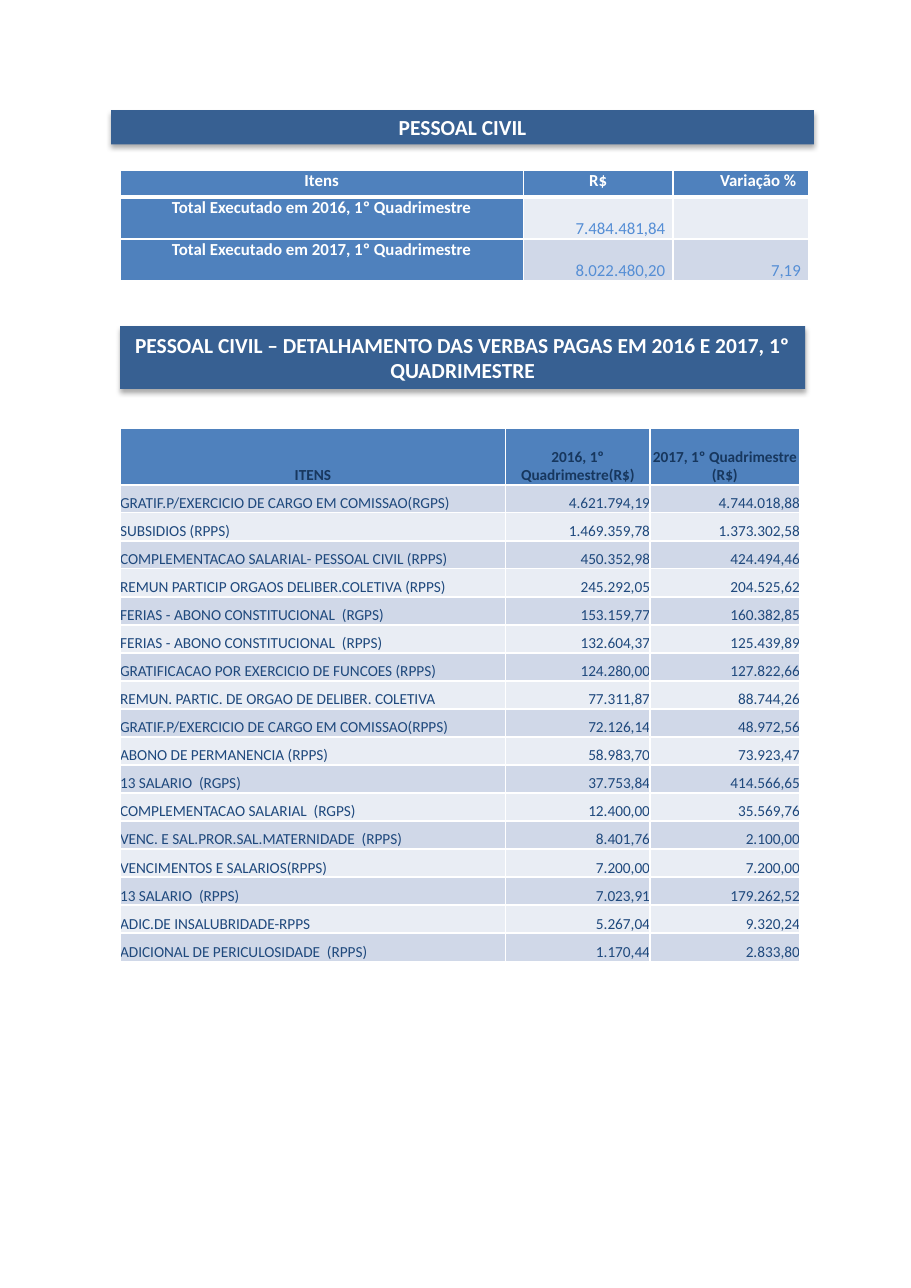
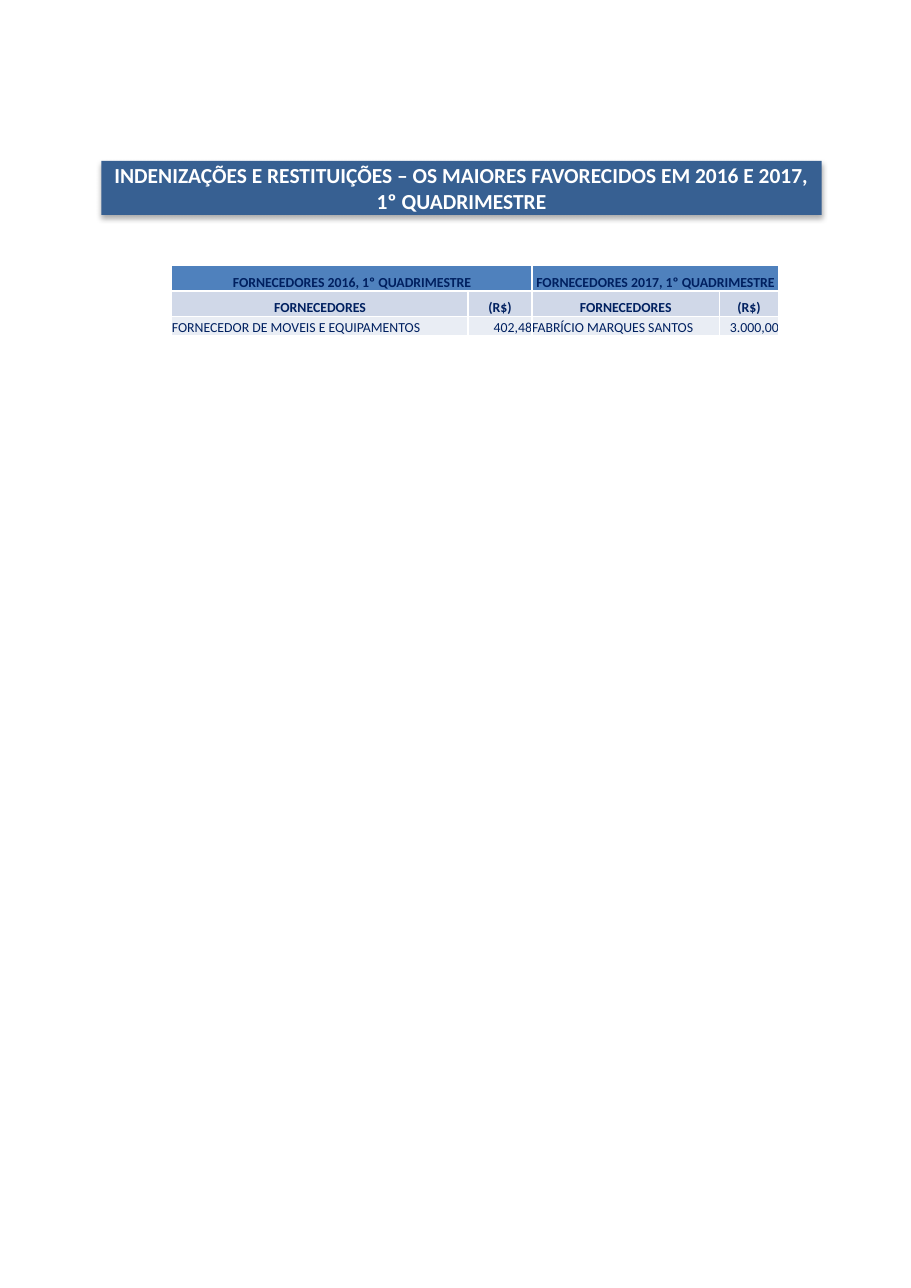
from dataclasses import dataclass

from lxml import etree
from pptx import Presentation
from pptx.dml.color import RGBColor
from pptx.enum.shapes import MSO_SHAPE
from pptx.enum.text import MSO_ANCHOR, PP_ALIGN
from pptx.oxml.ns import qn
from pptx.util import Inches, Pt

RECTANGLE = MSO_SHAPE.RECTANGLE
LEFT, CENTER, RIGHT = PP_ALIGN.LEFT, PP_ALIGN.CENTER, PP_ALIGN.RIGHT
TOP, MIDDLE, BOTTOM = MSO_ANCHOR.TOP, MSO_ANCHOR.MIDDLE, MSO_ANCHOR.BOTTOM


@dataclass(frozen=True)
class Theme:
    font: str = "Calibri"
    white: str = "FFFFFF"
    title_fill: str = "376092"
    header_fill: str = "4F81BD"
    dark_band: str = "D0D8E8"
    light_band: str = "E9EDF4"
    summary_value: str = "558ED5"
    detail_header: str = "17375E"
    detail_text: str = "1F497D"
    supplier_text: str = "002060"
    title_size: int = 14
    summary_size: int = 11
    detail_size: int = 10
    supplier_size: int = 9
    thin_border: float = 1
    heavy_border: float = 1.5
    summary_border: float = 3


THEME = Theme()


def add_title(page, text, left, top, width, height):
    """Add a centred title band with a soft shadow below it."""
    band = page.shapes.add_shape(
        RECTANGLE, Inches(left), Inches(top), Inches(width), Inches(height))
    band.fill.solid()
    band.fill.fore_color.rgb = RGBColor.from_string(THEME.title_fill)
    band.line.fill.background()
    band.shadow.inherit = False
    effects = band._element.spPr.find(qn("a:effectLst"))
    shadow = etree.SubElement(
        effects, qn("a:outerShdw"), blurRad=str(Pt(3.5)), dist=str(Pt(2.2)),
        dir="5400000", algn="t", rotWithShape="0")
    color = etree.SubElement(shadow, qn("a:srgbClr"), val="000000")
    etree.SubElement(color, qn("a:alpha"), val="32000")
    frame = band.text_frame
    frame.word_wrap = True
    frame.vertical_anchor = MIDDLE
    para = frame.paragraphs[0]
    para.text = text
    para.alignment = CENTER
    para.font.name = THEME.font
    para.font.size = Pt(THEME.title_size)
    para.font.bold = True
    para.font.color.rgb = RGBColor.from_string(THEME.white)


def add_grid(page, left, top, widths, heights, rows, aligns, size, header_color,
             text_color, header_rows=1, heavy=THEME.heavy_border,
             bands=(THEME.light_band, THEME.dark_band)):
    """Add a banded table; bands holds the fills of even and odd rows."""
    table = page.shapes.add_table(
        len(rows), len(widths), Inches(left), Inches(top),
        Inches(sum(widths)), Inches(sum(heights))).table
    table.first_row = table.horz_banding = False
    for column, width in zip(table.columns, widths):
        column.width = Inches(width)
    for i, (values, height) in enumerate(zip(rows, heights)):
        table.rows[i].height = Inches(height)
        is_header = i < header_rows
        # Every second rule is heavy, starting below the first row
        top_width = heavy if i % 2 else THEME.thin_border
        bottom_width = THEME.thin_border if i % 2 or i == len(rows) - 1 else heavy
        borders = {"a:lnL": THEME.thin_border, "a:lnR": THEME.thin_border,
                   "a:lnT": top_width, "a:lnB": bottom_width}
        for j, value in enumerate(values):
            cell = table.cell(i, j)
            cell.margin_left = cell.margin_right = 0
            cell.margin_top = cell.margin_bottom = 0
            cell.vertical_anchor = BOTTOM
            cell.fill.solid()
            cell.fill.fore_color.rgb = RGBColor.from_string(
                THEME.header_fill if i == 0 else bands[i % 2])
            properties = cell._tc.get_or_add_tcPr()
            for place, (tag, width) in enumerate(borders.items()):
                line = etree.Element(qn(tag), w=str(Pt(width)))
                fill = etree.SubElement(line, qn("a:solidFill"))
                etree.SubElement(fill, qn("a:srgbClr"), val=THEME.white)
                properties.insert(place, line)
            para = cell.text_frame.paragraphs[0]
            para.text = value
            para.alignment = CENTER if is_header else aligns[j]
            para.font.name = THEME.font
            para.font.size = Pt(size)
            para.font.bold = is_header
            para.font.color.rgb = RGBColor.from_string(
                header_color if is_header else text_color)
    return table


deck = Presentation()
deck.slide_width, deck.slide_height = Inches(8.27), Inches(11.69)
blank = deck.slide_layouts[6]

# Slide 1: civil staff
page = deck.slides.add_slide(blank)
add_title(page, "PESSOAL CIVIL", 1.01, 1, 6.38, 0.31)

# Summary of totals
summary_rows = [
    ("Itens", "R$", "Variação %"),
    ("Total Executado em 2016, 1º Quadrimestre", "7.484.481,84", ""),
    ("Total Executado em 2017, 1º Quadrimestre", "8.022.480,20", "7,19"),
]
summary = add_grid(
    page, 1.09, 1.55, [3.66, 1.36, 1.23], [0.24, 0.38, 0.38], summary_rows,
    [CENTER, RIGHT, RIGHT], THEME.summary_size, THEME.white, THEME.summary_value,
    heavy=THEME.summary_border, bands=(THEME.dark_band, THEME.light_band))
for i in range(len(summary_rows)):
    label = summary.cell(i, 0)
    label.vertical_anchor = TOP
    label.fill.fore_color.rgb = RGBColor.from_string(THEME.header_fill)
    para = label.text_frame.paragraphs[0]
    para.font.bold = True
    para.font.color.rgb = RGBColor.from_string(THEME.white)
    if i:
        for j in (1, 2):
            summary.cell(i, j).margin_right = Inches(0.07)
    else:
        for j in (1, 2):
            summary.cell(i, j).vertical_anchor = TOP
variation = summary.cell(0, 2)
variation.margin_right = Inches(0.11)
variation.text_frame.paragraphs[0].alignment = RIGHT

# Detail of the amounts paid
add_title(
    page, "PESSOAL CIVIL – DETALHAMENTO DAS VERBAS PAGAS EM 2016 E 2017, 1º QUADRIMESTRE",
    1.09, 2.96, 6.22, 0.57)
detail_rows = [
    ("ITENS", "2016, 1º Quadrimestre(R$)", "2017, 1º Quadrimestre (R$)"),
    ("GRATIF.P/EXERCICIO DE CARGO EM COMISSAO(RGPS)", "4.621.794,19", "4.744.018,88"),
    ("SUBSIDIOS (RPPS)", "1.469.359,78", "1.373.302,58"),
    ("COMPLEMENTACAO SALARIAL- PESSOAL CIVIL (RPPS)", "450.352,98", "424.494,46"),
    ("REMUN PARTICIP ORGAOS DELIBER.COLETIVA (RPPS)", "245.292,05", "204.525,62"),
    ("FERIAS - ABONO CONSTITUCIONAL  (RGPS)", "153.159,77", "160.382,85"),
    ("FERIAS - ABONO CONSTITUCIONAL  (RPPS)", "132.604,37", "125.439,89"),
    ("GRATIFICACAO POR EXERCICIO DE FUNCOES (RPPS)", "124.280,00", "127.822,66"),
    ("REMUN. PARTIC. DE ORGAO DE DELIBER. COLETIVA", "77.311,87", "88.744,26"),
    ("GRATIF.P/EXERCICIO DE CARGO EM COMISSAO(RPPS)", "72.126,14", "48.972,56"),
    ("ABONO DE PERMANENCIA (RPPS)", "58.983,70", "73.923,47"),
    ("13 SALARIO  (RGPS)", "37.753,84", "414.566,65"),
    ("COMPLEMENTACAO SALARIAL  (RGPS)", "12.400,00", "35.569,76"),
    ("VENC. E SAL.PROR.SAL.MATERNIDADE  (RPPS)", "8.401,76", "2.100,00"),
    ("VENCIMENTOS E SALARIOS(RPPS)", "7.200,00", "7.200,00"),
    ("13 SALARIO  (RPPS)", "7.023,91", "179.262,52"),
    ("ADIC.DE INSALUBRIDADE-RPPS", "5.267,04", "9.320,24"),
    ("ADICIONAL DE PERICULOSIDADE  (RPPS)", "1.170,44", "2.833,80"),
]
item_count = len(detail_rows) - 1
add_grid(
    page, 1.09, 3.89, [3.5, 1.31, 1.36], [0.51] + [4.33 / item_count] * item_count,
    detail_rows, [LEFT, RIGHT, RIGHT], THEME.detail_size,
    THEME.detail_header, THEME.detail_text)

# Slide 2: compensation and refunds
page = deck.slides.add_slide(blank)
add_title(
    page, "INDENIZAÇÕES E RESTITUIÇÕES – OS MAIORES FAVORECIDOS EM 2016 E 2017, 1º QUADRIMESTRE",
    0.92, 1.46, 6.54, 0.49)

# Suppliers by year
supplier_rows = [
    ("FORNECEDORES 2016, 1º QUADRIMESTRE", "", "FORNECEDORES 2017, 1º QUADRIMESTRE", ""),
    ("FORNECEDORES", "(R$)") * 2,
    ("FORNECEDOR DE MOVEIS E EQUIPAMENTOS", "402,48", "FABRÍCIO MARQUES SANTOS", "3.000,00"),
]
suppliers = add_grid(
    page, 1.56, 2.41, [2.69, 0.58, 1.7, 0.54], [0.23, 0.23, 0.18], supplier_rows,
    [LEFT, RIGHT] * 2, THEME.supplier_size, THEME.supplier_text,
    THEME.supplier_text, header_rows=2)
for j in (0, 2):
    suppliers.cell(0, j).merge(suppliers.cell(0, j + 1))

deck.save("out.pptx")
